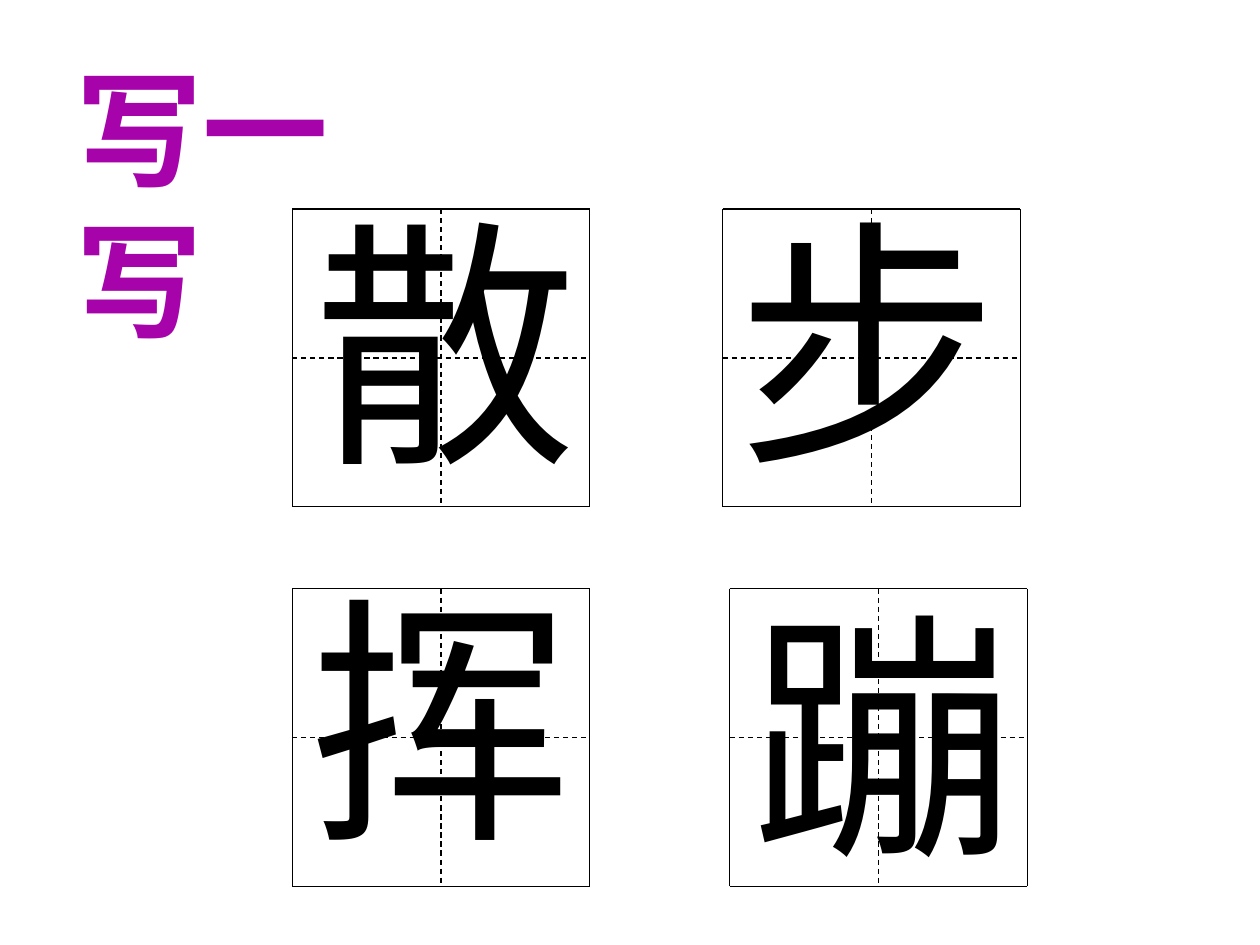
import dataclasses

import lxml.etree
import pptx
import pptx.dml.color
import pptx.enum.dml
import pptx.enum.shapes
import pptx.enum.text
import pptx.oxml.ns
import pptx.util

Pt = pptx.util.Pt
qn = pptx.oxml.ns.qn


@dataclasses.dataclass
class Theme:
    title_font: str = "Noto Sans CJK SC"
    character_font: str = "Arial"
    title_size: float = 72
    character_size: float = 150
    line_width: float = 0.75
    title_color: str = "A603AB"
    outline_color: str = "EAEAEA"
    ink_color: str = "000000"


class SlideBuilder:
    def __init__(self, slide, theme):
        self.slide = slide
        self.theme = theme

    def add_text(self, shape, text, font_name, size, color, bold=False):
        """Fill a shape with one left-aligned, top-anchored run."""
        frame = shape.text_frame
        frame.vertical_anchor = pptx.enum.text.MSO_ANCHOR.TOP
        frame.margin_left = frame.margin_right = Pt(7.2)
        frame.margin_top = frame.margin_bottom = Pt(3.6)
        paragraph = frame.paragraphs[0]
        paragraph.alignment = pptx.enum.text.PP_ALIGN.LEFT
        run = paragraph.add_run()
        run.text = text
        run.font.name = font_name
        run.font.size = Pt(size)
        run.font.bold = bold
        run.font.color.rgb = pptx.dml.color.RGBColor.from_string(color)
        return run

    def title(self, text, left, top, width, height):
        shape = self.slide.shapes.title
        shape.left, shape.top = Pt(left), Pt(top)
        shape.width, shape.height = Pt(width), Pt(height)
        theme = self.theme
        run = self.add_text(shape, text, theme.title_font, theme.title_size,
                            theme.title_color, bold=True)
        shape.text_frame.word_wrap = False
        shape.text_frame.auto_size = pptx.enum.text.MSO_AUTO_SIZE.NONE
        # Thin outline around the letters, placed before the fill
        outline = lxml.etree.Element(qn("a:ln"), w=str(Pt(1)))
        fill = lxml.etree.SubElement(outline, qn("a:solidFill"))
        lxml.etree.SubElement(fill, qn("a:srgbClr"), val=theme.outline_color)
        run._r.get_or_add_rPr().insert(0, outline)

    def line(self, shapes, start, end, dashed=False):
        connector = shapes.add_connector(
            pptx.enum.shapes.MSO_CONNECTOR.STRAIGHT,
            *(Pt(value) for value in (*start, *end)))
        connector.line.width = Pt(self.theme.line_width)
        connector.line.color.rgb = pptx.dml.color.RGBColor.from_string(
            self.theme.ink_color)
        if dashed:
            connector.line.dash_style = pptx.enum.dml.MSO_LINE.DASH
        lxml.etree.SubElement(connector._element.spPr, qn("a:effectLst"))

    def writing_square(self, left, top, side):
        """Draw a square with dashed centre lines as one group."""
        group = self.slide.shapes.add_group_shape()
        for offset in (0, side / 2, side):
            dashed = offset == side / 2
            self.line(group.shapes, (left, top + offset),
                      (left + side, top + offset), dashed)
            self.line(group.shapes, (left + offset, top),
                      (left + offset, top + side), dashed)

    def character(self, text, left, top, width, height):
        shape = self.slide.shapes.add_textbox(
            Pt(left), Pt(top), Pt(width), Pt(height))
        theme = self.theme
        self.add_text(shape, text, theme.character_font,
                      theme.character_size, theme.ink_color)
        shape.text_frame.word_wrap = True
        shape.text_frame.auto_size = (
            pptx.enum.text.MSO_AUTO_SIZE.SHAPE_TO_FIT_TEXT)


def main():
    presentation = pptx.Presentation()
    presentation.slide_width = Pt(720)
    presentation.slide_height = Pt(540)
    slide = presentation.slides.add_slide(presentation.slide_layouts[5])
    builder = SlideBuilder(slide, Theme())

    # Heading
    builder.title("写一写", 36.7, 25.9, 218.2, 72.7)

    # Practice squares
    for left, top in ((167, 119.5), (413, 119.5), (167, 336.4), (417, 336.4)):
        builder.writing_square(left, top, 170)

    # Characters to write
    for text, left, top, width in (
        ("散", 172.8, 100, 156.2),
        ("步", 414, 100, 172.8),
        ("挥", 170, 315.4, 172.8),
        ("蹦", 422.6, 324, 159.1),
    ):
        builder.character(text, left, top, width, 187.2)

    presentation.save("out.pptx")


if __name__ == "__main__":
    main()
